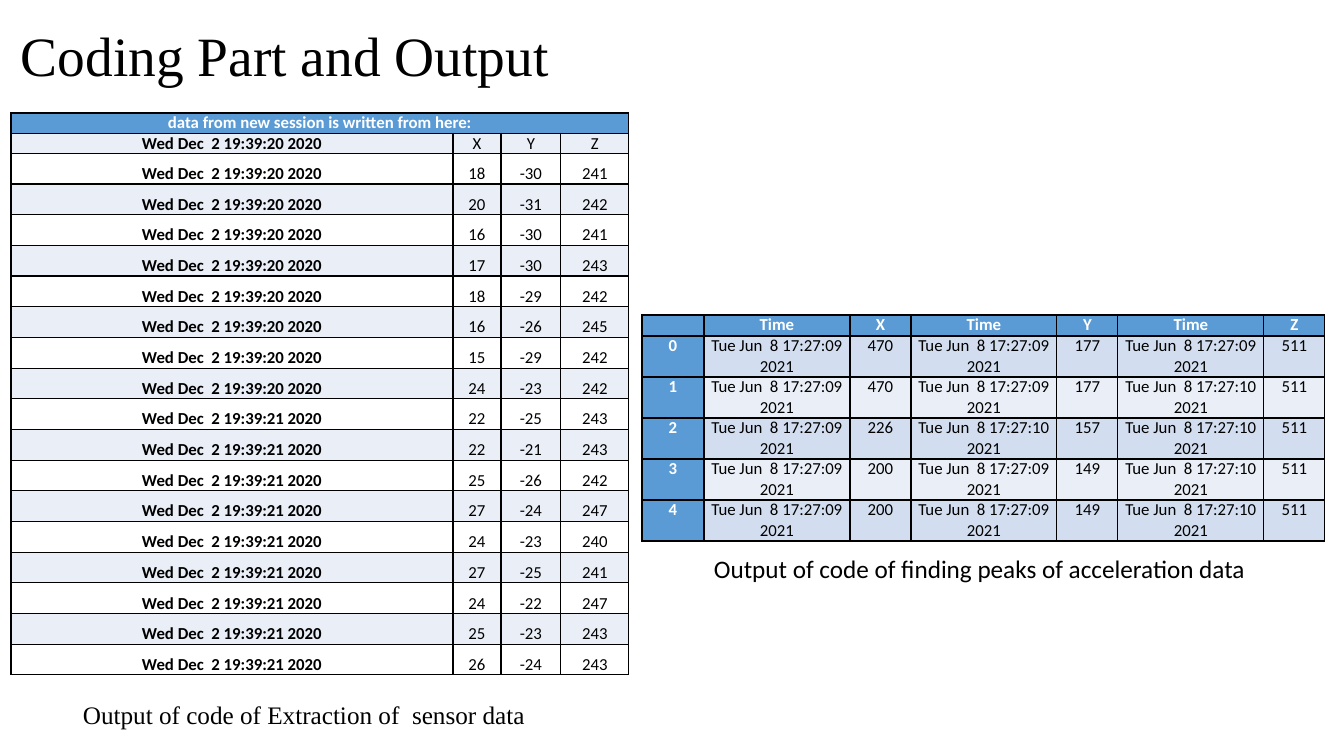
from lxml.etree import SubElement
from pptx import Presentation
from pptx.dml.color import RGBColor
from pptx.enum.text import MSO_ANCHOR as Anchor, PP_ALIGN as Align
from pptx.oxml.ns import qn
from pptx.util import Pt

PX = 9071.43  # EMU per px, 100.8 px to the inch
BLACK = RGBColor(0x00, 0x00, 0x00)
WHITE = RGBColor(0xFF, 0xFF, 0xFF)
BLUE = RGBColor(0x5B, 0x9B, 0xD5)
LIGHT_BLUE = RGBColor(0xD2, 0xDE, 0xEF)
PALE_BLUE = RGBColor(0xEA, 0xEF, 0xF7)
SERIF, SANS = "Times New Roman", "Calibri"


def write(frame, text, size=12, font=SANS, color=BLACK, bold=False,
          align=Align.LEFT, spacing=None):
    line = frame.paragraphs[0]
    line.alignment = align
    line.line_spacing = spacing
    if not text:  # an empty cell still needs its text size
        SubElement(line._p, qn("a:endParaRPr"), sz=str(size * 100))
        return
    run = line.add_run()
    run.text = text
    run.font.size, run.font.name = Pt(size), font
    run.font.color.rgb, run.font.bold = color, bold


def add_grid(rows, left, top, widths, heights, margin, anchor, bands, blue_first_column):
    """Heights are in EMU, the other lengths in px."""
    grid = slide.shapes.add_table(
        len(rows), len(widths), round(left * PX), round(top * PX),
        round(sum(widths) * PX), sum(heights)).table
    for column, width in zip(grid.columns, widths):
        column.width = round(width * PX)
    for r, (values, height) in enumerate(zip(rows, heights)):
        grid.rows[r].height = height
        for c, value in enumerate(values):
            cell = grid.cell(r, c)
            heading = r == 0 or (c == 0 and blue_first_column)
            cell.margin_left = cell.margin_right = round(margin * PX)
            cell.margin_top = cell.margin_bottom = 0
            cell.vertical_anchor = anchor
            for side in ("a:lnL", "a:lnR", "a:lnT", "a:lnB"):
                border = SubElement(cell._tc.tcPr, qn(side), w=str(Pt(1)))
                SubElement(SubElement(border, qn("a:solidFill")),
                           qn("a:srgbClr"), val=str(BLACK))
            cell.fill.solid()
            cell.fill.fore_color.rgb = BLUE if heading else bands[(r - 1) % 2]
            write(cell.text_frame, value, color=WHITE if heading else BLACK,
                  bold=heading or c == 0, align=Align.CENTER)
    return grid


deck = Presentation()
deck.slide_width, deck.slide_height = round(1344 * PX), round(756 * PX)
slide = deck.slides.add_slide(deck.slide_layouts[6])

# Title and captions
for text, left, top, width, height, wrap, anchor, style in (
    ("Coding Part and Output", 11, 22, 1159, 73, True, Anchor.MIDDLE,
     dict(size=39.6, font=SERIF, spacing=0.9)),
    ("Output of code of Extraction of  sensor data", 73, 694, 494, 40, True, Anchor.TOP,
     dict(size=18, font=SERIF)),
    ("Output of code of finding peaks of acceleration data", 704, 548, 558, 40, False,
     Anchor.TOP, dict(size=18)),
):
    frame = slide.shapes.add_textbox(*(round(n * PX) for n in (left, top, width, height))).text_frame
    frame.word_wrap = wrap
    frame.vertical_anchor = anchor
    write(frame, text, **style)

# Extracted sensor data
readings = (
    (18, -30, 241), (20, -31, 242), (16, -30, 241), (17, -30, 243), (18, -29, 242),
    (16, -26, 245), (15, -29, 242), (24, -23, 242), (22, -25, 243), (22, -21, 243),
    (25, -26, 242), (27, -24, 247), (24, -23, 240), (27, -25, 241), (24, -22, 247),
    (25, -23, 243), (26, -24, 243),
)
sensor_rows = [("data from new session is written from here:", "", "", "")]
for i, axes in enumerate((("X", "Y", "Z"), *readings)):
    second = 20 if i < 9 else 21
    sensor_rows.append((f"Wed Dec  2 19:39:{second} 2020", *map(str, axes)))
reading_height = round(522 * PX / len(readings))
sensor_grid = add_grid(
    sensor_rows, 11, 113, (442, 48, 60, 68),
    [round(20 * PX)] * 2 + [reading_height] * len(readings),
    margin=5, anchor=Anchor.BOTTOM, bands=(PALE_BLUE, WHITE), blue_first_column=False)
sensor_grid.cell(0, 0).merge(sensor_grid.cell(0, 3))

# Acceleration peaks: second and value for each axis
peaks = (
    (("09", 470), ("09", 177), ("09", 511)),
    (("09", 470), ("09", 177), ("10", 511)),
    (("09", 226), ("10", 157), ("10", 511)),
    (("09", 200), ("09", 149), ("10", 511)),
    (("09", 200), ("09", 149), ("10", 511)),
)
peak_rows = [("", "Time", "X", "Time", "Y", "Time", "Z")]
for i, axes in enumerate(peaks):
    row = [str(i)]
    for second, value in axes:
        row += [f"Tue Jun  8 17:27:{second} 2021", str(value)]
    peak_rows.append(row)
add_grid(
    peak_rows, 642, 315, (62, *(146, 61) * 3),
    [round(21 * PX)] + [round(41 * PX)] * len(peaks),
    margin=7, anchor=Anchor.TOP, bands=(LIGHT_BLUE, PALE_BLUE), blue_first_column=True)

deck.save("out.pptx")
